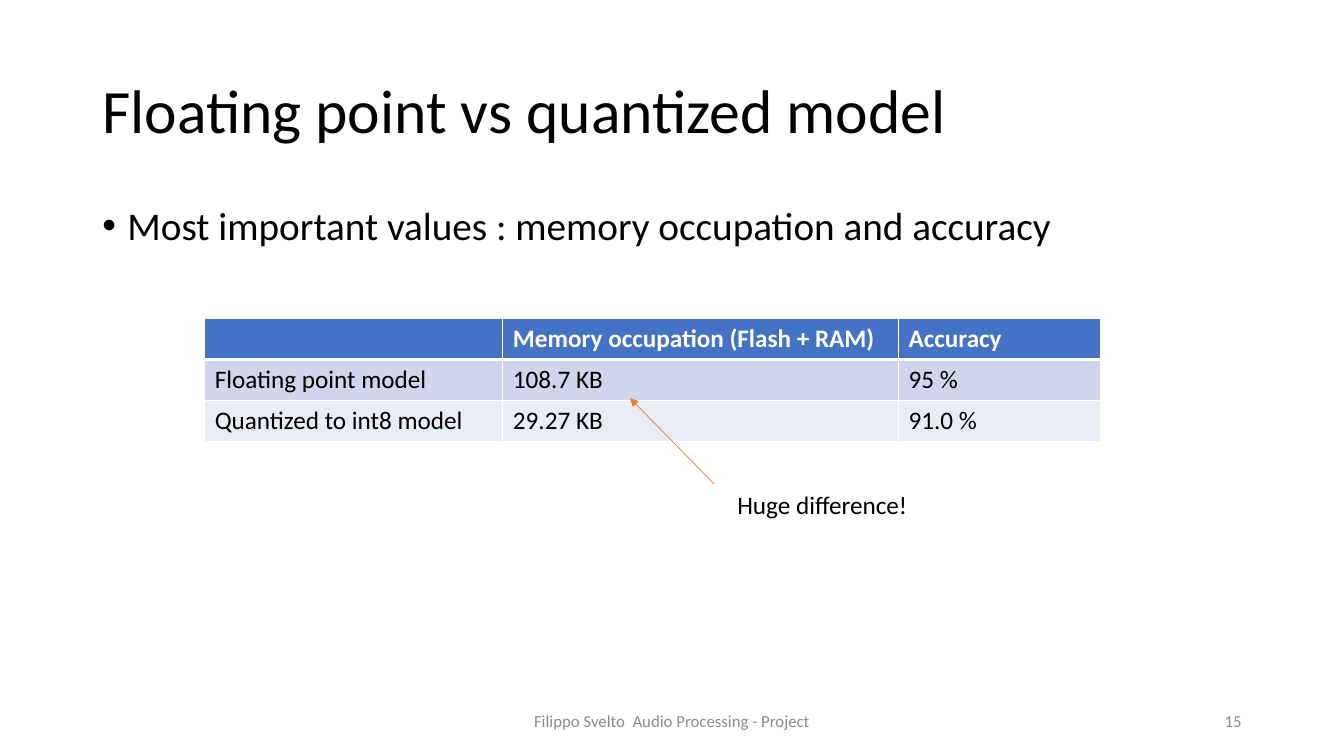
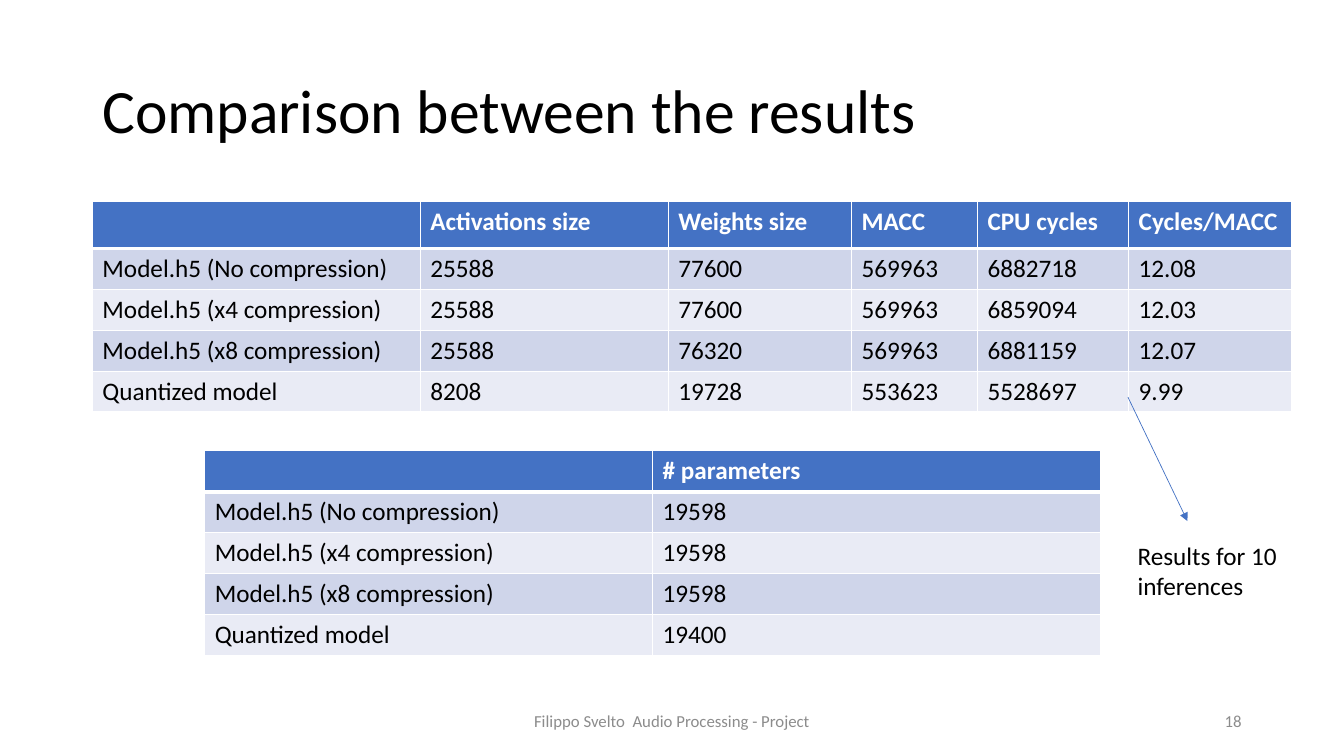
import lxml.etree
import pptx
import pptx.dml.color
import pptx.enum.shapes
import pptx.enum.text
import pptx.oxml.ns
import pptx.util

Pt = pptx.util.Pt
RGBColor = pptx.dml.color.RGBColor
PP_ALIGN = pptx.enum.text.PP_ALIGN
MSO_ANCHOR = pptx.enum.text.MSO_ANCHOR
qn = pptx.oxml.ns.qn

BLACK = RGBColor(0x00, 0x00, 0x00)
WHITE = RGBColor(0xFF, 0xFF, 0xFF)
GREY = RGBColor(0x8C, 0x8C, 0x8C)
BLUE = RGBColor(0x44, 0x72, 0xC4)
ORANGE = RGBColor(0xED, 0x7D, 0x31)
BANDS = (RGBColor(0xCF, 0xD5, 0xEA), RGBColor(0xE9, 0xEB, 0xF5))


class Deck:
    font_name = "Calibri"
    margin = 66
    content_width = 828
    footer_top = 500.5
    footer_height = 28.8
    row_height = 29.2
    footer = "Filippo Svelto  Audio Processing - Project"

    def __init__(self):
        self.presentation = pptx.Presentation()
        self.presentation.slide_width = Pt(960)
        self.presentation.slide_height = Pt(540)
        self.slide = None

    def style(self, paragraph, size, color, bold=False):
        font = paragraph.font
        font.name = self.font_name
        font.size = Pt(size)
        font.bold = bold
        font.color.rgb = color

    def text(self, content, left, top, width, height, size=18, color=BLACK,
             align=PP_ALIGN.LEFT, anchor=MSO_ANCHOR.TOP, wrap=True):
        box = self.slide.shapes.add_textbox(Pt(left), Pt(top), Pt(width), Pt(height))
        frame = box.text_frame
        frame.word_wrap = wrap
        frame.vertical_anchor = anchor
        paragraph = frame.paragraphs[0]
        paragraph.text = content
        paragraph.alignment = align
        self.style(paragraph, size, color)
        return paragraph

    def new_slide(self, title, number):
        self.slide = self.presentation.slides.add_slide(self.presentation.slide_layouts[6])
        heading = self.text(title, self.margin, 28.8, self.content_width, 104.4,
                            size=44, anchor=MSO_ANCHOR.MIDDLE)
        heading.line_spacing = 0.9
        for content, left, width, align in (
            (self.footer, 318, 324, PP_ALIGN.CENTER),
            (str(number), 678, 216, PP_ALIGN.RIGHT),
        ):
            self.text(content, left, self.footer_top, width, self.footer_height,
                      size=12, color=GREY, align=align, anchor=MSO_ANCHOR.MIDDLE)

    def bullet(self, content):
        item = self.text(content, self.margin, 144, self.content_width, 342, size=28)
        item.line_spacing = 0.9
        item.space_before = Pt(10)
        properties = item._p.get_or_add_pPr()
        properties.set("marL", str(Pt(18)))
        properties.set("indent", str(Pt(-18)))
        defaults = properties.find(qn("a:defRPr"))
        for tag, key, value in (("a:buFont", "typeface", "Arial"), ("a:buChar", "char", "•")):
            mark = lxml.etree.Element(qn(tag))
            mark.set(key, value)
            defaults.addprevious(mark)

    def borders(self, cell, top, bottom):
        properties = cell._tc.get_or_add_tcPr()
        widths = (("a:lnL", 1), ("a:lnR", 1), ("a:lnT", top), ("a:lnB", bottom))
        for position, (tag, width) in enumerate(widths):
            edge = lxml.etree.Element(qn(tag), w=str(Pt(width)))
            fill = lxml.etree.SubElement(edge, qn("a:solidFill"))
            lxml.etree.SubElement(fill, qn("a:srgbClr"), val=str(WHITE))
            properties.insert(position, edge)

    def table(self, rows, left, top, widths, header_height=row_height):
        heights = [header_height] + [self.row_height] * (len(rows) - 1)
        grid = self.slide.shapes.add_table(
            len(rows), len(widths), Pt(left), Pt(top), Pt(sum(widths)), Pt(sum(heights))
        ).table
        grid.first_row = False
        grid.horz_banding = False
        for column, width in zip(grid.columns, widths):
            column.width = Pt(width)
        for index, (values, height) in enumerate(zip(rows, heights)):
            grid.rows[index].height = Pt(height)
            header = index == 0
            for column, value in enumerate(values):
                cell = grid.cell(index, column)
                cell.text = value
                cell.fill.solid()
                cell.fill.fore_color.rgb = BLUE if header else BANDS[(index - 1) % 2]
                self.style(cell.text_frame.paragraphs[0], 18,
                           WHITE if header else BLACK, bold=header)
                self.borders(cell, top=3 if index == 1 else 1, bottom=3 if header else 1)

    def arrow(self, start, end, color):
        pointer = self.slide.shapes.add_connector(
            pptx.enum.shapes.MSO_CONNECTOR.STRAIGHT, *(Pt(value) for value in start + end)
        )
        pointer.line.color.rgb = color
        pointer.line.width = Pt(0.5)
        properties = pointer.element.spPr
        lxml.etree.SubElement(properties.find(qn("a:ln")), qn("a:tailEnd"), type="triangle")
        lxml.etree.SubElement(properties, qn("a:effectLst"))


def main():
    deck = Deck()

    deck.new_slide("Floating point vs quantized model", 15)
    deck.bullet("Most important values : memory occupation and accuracy")
    deck.table(
        [
            ("", "Memory occupation (Flash + RAM)", "Accuracy"),
            ("Floating point model", "108.7 KB", "95 %"),
            ("Quantized to int8 model", "29.27 KB", "91.0 %"),
        ],
        146.2, 227.5, (213, 282.6, 144.4),
    )
    deck.arrow((510, 345.6), (450, 284.4), ORANGE)
    deck.text("Huge difference!", 519.6, 345.6, 138, 29, wrap=False)

    deck.new_slide("Comparison between the results", 18)
    models = [f"Model.h5 ({level} compression)" for level in ("No", "x4", "x8")]
    models.append("Quantized model")
    costs = [
        ("25588", "77600", "569963", "6882718", "12.08"),
        ("25588", "77600", "569963", "6859094", "12.03"),
        ("25588", "76320", "569963", "6881159", "12.07"),
        ("8208", "19728", "553623", "5528697", "9.99"),
    ]
    cost_header = ("", "Activations size", "Weights size", "MACC", "CPU cycles", "Cycles/MACC")
    deck.table(
        [cost_header] + [(model, *cost) for model, cost in zip(models, costs)],
        deck.margin, 144, (234.2, 177.2, 130.8, 90, 108, 116.6), header_height=33.5,
    )
    parameters = ("19598", "19598", "19598", "19400")
    deck.table([("", "# parameters"), *zip(models, parameters)], 146.2, 322, (320, 320))
    deck.arrow((805.7, 283.7), (848.2, 372.2), BLUE)
    deck.text("Results for 10 inferences", 805.5, 382.3, 154.5, 51)

    deck.presentation.save("out.pptx")


if __name__ == "__main__":
    main()
